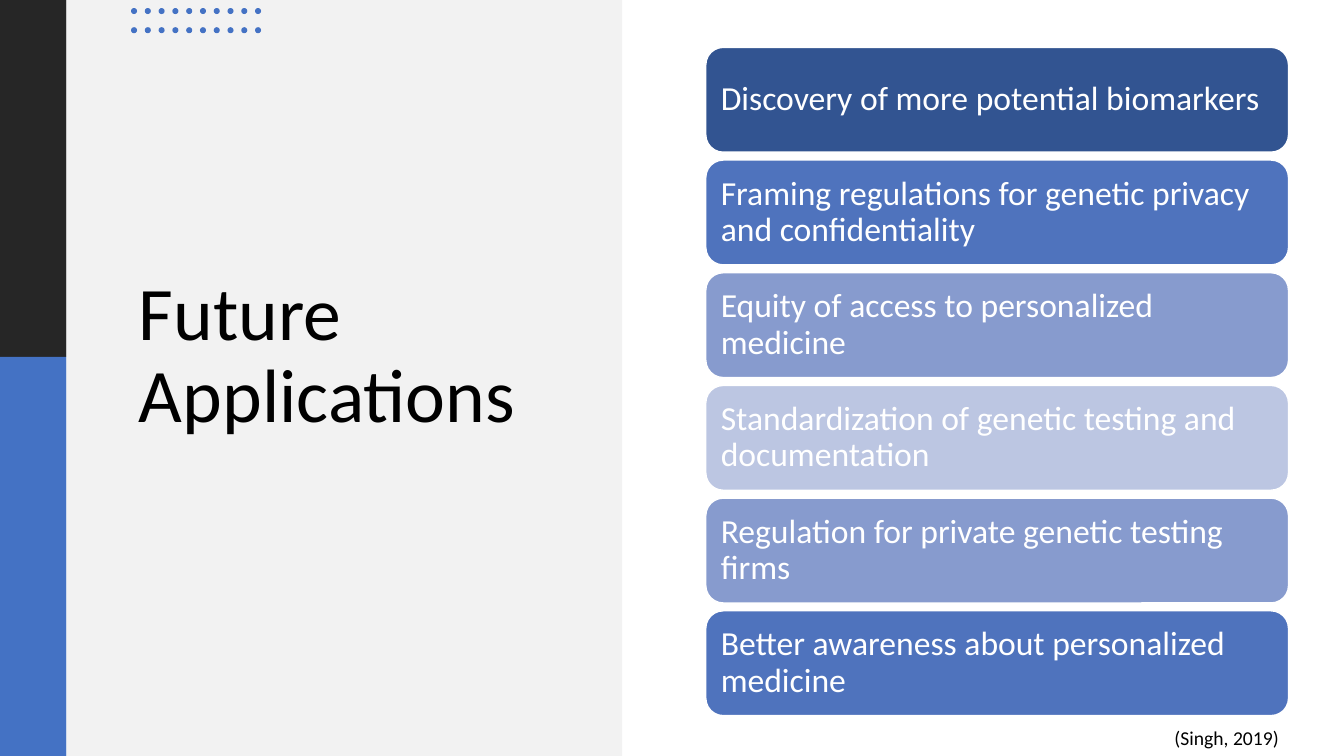
from dataclasses import dataclass
from itertools import product

from pptx import Presentation
from pptx.dml.color import RGBColor
from pptx.enum.shapes import MSO_SHAPE as Shape
from pptx.enum.text import MSO_ANCHOR as Anchor, PP_ALIGN as Align
from pptx.shapes.autoshape import Shape as AutoShape
from pptx.shapes.shapetree import GroupShapes, SlideShapes
from pptx.util import Inches, Pt


@dataclass(frozen=True)
class Theme:
    font: str = "Calibri"
    dark: str = "262626"
    accent: str = "4472C4"
    panel: str = "F2F2F2"
    white: str = "FFFFFF"
    black: str = "000000"
    card_deep: str = "325491"
    card_strong: str = "4F73BD"
    card_soft: str = "879BCE"
    card_pale: str = "BCC6E2"
    title_size: int = 54
    card_size: int = 24
    citation_size: int = 14


@dataclass(frozen=True)
class Box:
    left: float
    top: float
    width: float
    height: float

    def lengths(self) -> tuple[Inches, Inches, Inches, Inches]:
        return (Inches(self.left), Inches(self.top),
                Inches(self.width), Inches(self.height))


@dataclass(frozen=True)
class Panel:
    box: Box
    fill: str


@dataclass(frozen=True)
class Card:
    text: str
    fill: str


THEME = Theme()

PANELS = [
    Panel(Box(0, 0, 0.66, 3.54), THEME.dark),
    Panel(Box(0, 3.54, 0.66, 3.96), THEME.accent),
    Panel(Box(0.66, 0, 5.51, 7.5), THEME.panel),
]

CARDS = [
    Card("Discovery of more potential biomarkers", THEME.card_deep),
    Card("Framing regulations for genetic privacy and confidentiality",
         THEME.card_strong),
    Card("Equity of access to personalized medicine", THEME.card_soft),
    Card("Standardization of genetic testing and documentation",
         THEME.card_pale),
    Card("Regulation for private genetic testing firms", THEME.card_soft),
    Card("Better awareness about personalized medicine", THEME.card_strong),
]
FIRST_CARD_TOP, LAST_CARD_TOP = 0.47, 6.06
CARD_PITCH = (LAST_CARD_TOP - FIRST_CARD_TOP) / (len(CARDS) - 1)

DOT_COLS, DOT_ROWS = 10, 2
DOT_LEFT, LAST_DOT_LEFT, DOT_TOP = 1.3, 2.53, 0.08
DOT_COL_PITCH = (LAST_DOT_LEFT - DOT_LEFT) / (DOT_COLS - 1)
DOT_ROW_PITCH, DOT_SIZE = 0.19, 0.06


def add_filled(shapes: SlideShapes | GroupShapes, kind: Shape, box: Box,
               fill: str) -> AutoShape:
    sp = shapes.add_shape(kind, *box.lengths())
    sp.shadow.inherit = False
    sp.fill.solid()
    sp.fill.fore_color.rgb = RGBColor.from_string(fill)
    sp.line.fill.background()
    return sp


def write(sp: AutoShape, text: str, size: int, color: str,
          spacing: float = 1.0) -> None:
    tf = sp.text_frame
    tf.word_wrap = True
    p = tf.paragraphs[0]
    p.alignment = Align.LEFT
    p.line_spacing = spacing
    r = p.add_run()
    r.text = text
    r.font.name = THEME.font
    r.font.size = Pt(size)
    r.font.color.rgb = RGBColor.from_string(color)


def add_dots(shapes: SlideShapes) -> None:
    dots = shapes.add_group_shape().shapes
    for col, row in product(range(DOT_COLS), range(DOT_ROWS)):
        box = Box(DOT_LEFT + col * DOT_COL_PITCH, DOT_TOP + row * DOT_ROW_PITCH,
                  DOT_SIZE, DOT_SIZE)
        add_filled(dots, Shape.OVAL, box, THEME.accent)


def add_card(shapes: SlideShapes, index: int, card: Card) -> None:
    box = Box(7, FIRST_CARD_TOP + index * CARD_PITCH, 5.78, 1.04)
    sp = add_filled(shapes, Shape.ROUNDED_RECTANGLE, box, card.fill)
    sp.line.color.rgb = RGBColor.from_string(THEME.white)
    sp.line.width = Pt(1)
    tf = sp.text_frame
    tf.vertical_anchor = Anchor.MIDDLE
    tf.margin_left = tf.margin_right = Inches(0.1)
    write(sp, card.text, THEME.card_size, THEME.white, 0.9)


def main() -> None:
    prs = Presentation()
    prs.slide_width, prs.slide_height = Inches(13.33), Inches(7.5)
    s = prs.slides.add_slide(prs.slide_layouts[6])

    for panel in PANELS:
        add_filled(s.shapes, Shape.RECTANGLE, panel.box, panel.fill)

    title = s.shapes.add_textbox(*Box(1.28, 1.31, 4.12, 4.46).lengths())
    title.text_frame.vertical_anchor = Anchor.MIDDLE
    write(title, "Future Applications", THEME.title_size, THEME.black, 0.9)

    add_dots(s.shapes)
    for index, card in enumerate(CARDS):
        add_card(s.shapes, index, card)

    citation = s.shapes.add_textbox(*Box(11.55, 7.15, 1.6, 0.34).lengths())
    write(citation, "(Singh, 2019)", THEME.citation_size, THEME.black)

    prs.save("out.pptx")


if __name__ == "__main__":
    main()
